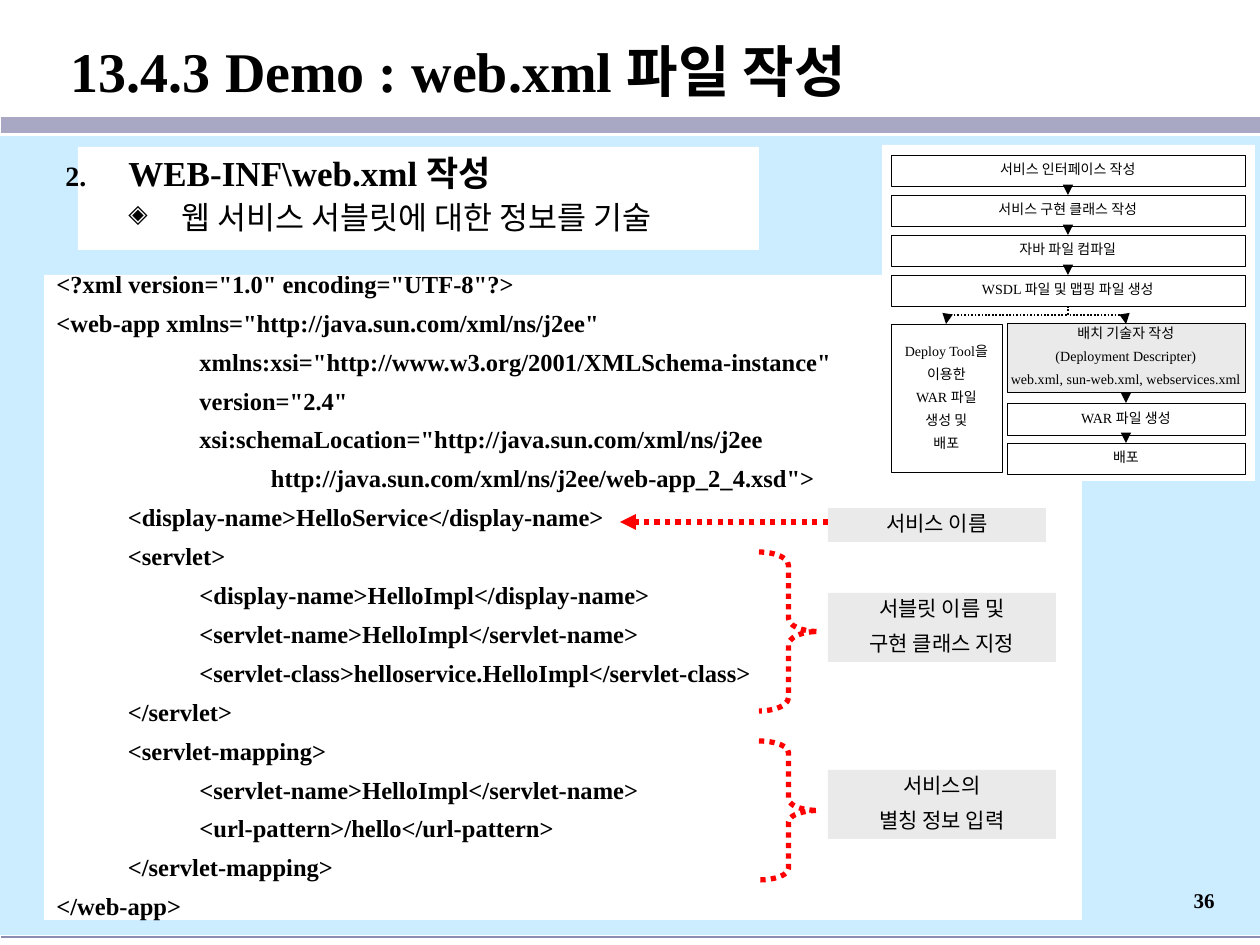
import pptx
import pptx.util
import pptx.dml.color
import pptx.enum.dml
import pptx.enum.shapes
import pptx.enum.text
import pptx.oxml
import pptx.oxml.ns

PX = 914400 / 126
FONT = "Times New Roman"
SHAPE = pptx.enum.shapes.MSO_SHAPE
LINK = pptx.enum.shapes.MSO_CONNECTOR
ALIGN = pptx.enum.text.PP_ALIGN
ANCHOR = pptx.enum.text.MSO_ANCHOR

# Each code line: indent level, text
CODE = [
    (0, '<?xml version="1.0" encoding="UTF-8"?>'),
    (0, '<web-app xmlns="http://java.sun.com/xml/ns/j2ee"'),
    (2, 'xmlns:xsi="http://www.w3.org/2001/XMLSchema-instance"'),
    (2, 'version="2.4"'),
    (2, 'xsi:schemaLocation="http://java.sun.com/xml/ns/j2ee'),
    (3, 'http://java.sun.com/xml/ns/j2ee/web-app_2_4.xsd">'),
    (1, "<display-name>HelloService</display-name>"),
    (1, "<servlet>"),
    (2, "<display-name>HelloImpl</display-name>"),
    (2, "<servlet-name>HelloImpl</servlet-name>"),
    (2, "<servlet-class>helloservice.HelloImpl</servlet-class>"),
    (1, "</servlet>"),
    (1, "<servlet-mapping>"),
    (2, "<servlet-name>HelloImpl</servlet-name>"),
    (2, "<url-pattern>/hello</url-pattern>"),
    (1, "</servlet-mapping>"),
    (0, "</web-app>"),
]
STEPS = ["서비스 인터페이스 작성", "서비스 구현 클래스 작성", "자바 파일 컴파일",
         "WSDL 파일 및 맵핑 파일 생성"]


def px(n):
    return pptx.util.Emu(round(n * PX))


def hue(code):
    return pptx.dml.color.RGBColor.from_string(code)


def node(tag, **attrs):
    item = pptx.oxml.parse_xml(f"<a:{tag} {pptx.oxml.ns.nsdecls('a')}/>")
    for key, val in attrs.items():
        item.set(key, str(val))
    return item


def stroke(line, color, width, dots=False):
    line.color.rgb = hue(color)
    line.width = pptx.util.Pt(width)
    if dots:
        line.dash_style = pptx.enum.dml.MSO_LINE.ROUND_DOT


def write(para, text, size, bold=False):
    run = para.add_run()
    run.text = text
    run.font.size = pptx.util.Pt(size)
    run.font.name = FONT
    run.font.bold = bold
    run.font.color.rgb = hue("000000")


def paras(frame, count, space, gap, align=ALIGN.LEFT):
    """Yield spaced paragraphs; only those after the first get a gap."""
    for i in range(count):
        para = frame.add_paragraph() if i else frame.paragraphs[0]
        para.alignment = align
        para.line_spacing = space
        para.space_before = pptx.util.Pt(gap if i else 0)
        yield para


def box(slide, rect, fill, edge=None):
    shape = slide.shapes.add_shape(SHAPE.RECTANGLE, *map(px, rect))
    shape.shadow.inherit = False
    shape.fill.solid()
    shape.fill.fore_color.rgb = hue(fill)
    if edge:
        stroke(shape.line, edge, 0.25)
    else:
        shape.line.fill.background()
    return shape


def label(slide, rect, lines, size, gap, fill, edge=None, wrap=True):
    shape = box(slide, rect, fill, edge)
    frame = shape.text_frame
    frame.word_wrap = wrap
    frame.vertical_anchor = ANCHOR.MIDDLE
    rows = paras(frame, len(lines), 0.85, gap, ALIGN.CENTER)
    for para, text in zip(rows, lines):
        write(para, text, size)


def rule(slide, ends, color, width, dots=False, head=False, kind=LINK.STRAIGHT):
    line = slide.shapes.add_connector(kind, *map(px, ends))
    stroke(line.line, color, width, dots)
    if head:
        line.line._get_or_add_ln().append(node("tailEnd", type="triangle"))
    line._element.spPr.append(node("effectLst"))
    return line


def fork(slide, x, y, to, end):
    """Elbow arrow that leaves downwards: a turned sideways elbow."""
    mid, half = (x + to) / 2, (end - y) / 2
    reach = abs(to - x) / 2
    row = (y + end) / 2
    side = half if to < x else -half
    line = rule(slide, (mid - side, row - reach, mid + side, row + reach),
                "000000", 1, True, True, LINK.ELBOW)
    turn = 90 if to < x else 270
    line._element.spPr.find(pptx.oxml.ns.qn("a:xfrm")).set("rot", str(turn * 60000))


def brace(slide, top, high):
    wide = 59
    shape = slide.shapes.add_shape(SHAPE.RIGHT_BRACE, *map(px, (759, top, wide, high)))
    shape.shadow.inherit = False
    shape.fill.background()
    stroke(shape.line, "FF0000", 3, True)
    shape.adjustments[0] = high / 12 / wide


def bullet(para, mark, left, hang):
    props = para._p.get_or_add_pPr()
    props.set("marL", str(px(left)))
    props.set("indent", str(-px(hang)))
    tint = node("buClr")
    tint.append(node("srgbClr", val="000000"))
    props.extend([tint, node("buSzPct", val=80000), mark])


def head(slide):
    title = slide.shapes.title
    title.left, title.top, title.width, title.height = map(px, (1, 14, 1259, 113))
    frame = title.text_frame
    frame.auto_size = pptx.enum.text.MSO_AUTO_SIZE.NONE
    frame.vertical_anchor = ANCHOR.MIDDLE
    frame.margin_left = px(70)
    para = frame.paragraphs[0]
    para.alignment = ALIGN.LEFT
    write(para, "13.4.3 Demo : web.xml 파일 작성", 32, True)


def topic(slide):
    frame = slide.shapes.add_textbox(*map(px, (53, 150, 720, 100))).text_frame
    frame.word_wrap = True
    first, second = paras(frame, 2, 0.9, 4.5)
    bullet(first, node("buAutoNum", type="arabicPeriod", startAt=2), 63, 63)
    bullet(second, node("buChar", char="◈"), 116, 53)
    write(first, "WEB-INF\\web.xml 작성", 20, True)
    write(second, "웹 서비스 서블릿에 대한 정보를 기술", 18)


def code(slide):
    frame = box(slide, (44, 275, 1038, 645), "FFFFFF").text_frame
    frame.word_wrap = True
    frame.vertical_anchor = ANCHOR.MIDDLE
    for para, (level, text) in zip(paras(frame, len(CODE), 0.8, 8.8), CODE):
        para._p.get_or_add_pPr().set("marL", str(px(level * 71.5)))
        write(para, text, 14, True)


def flow(slide):
    def step(rect, lines, fill="FFFFFF"):
        label(slide, rect, lines, 8, 5, fill, "000000", False)

    def down(x, top, end):
        rule(slide, (x, top, x, end), "000000", 1, True, True)

    for i, text in enumerate(STEPS):
        top = 155 + 40 * i
        step((891, top, 354, 31), [text])
        if i:
            down(1068, top - 9, top)
    # Two ways to deploy
    step((1007, 323, 238, 69), ["배치 기술자 작성", "(Deployment Descripter)",
                                "web.xml, sun-web.xml, webservices.xml"], "EAEAEA")
    step((1007, 403, 238, 32), ["WAR 파일 생성"])
    step((1007, 443, 238, 31), ["배포"])
    step((891, 324, 111, 148), ["Deploy Tool을", "이용한", "WAR 파일", "생성 및", "배포"])
    fork(slide, 1068, 306, 946, 324)
    fork(slide, 1068, 306, 1126, 324)
    down(1126, 392, 403)
    down(1126, 435, 443)


def main():
    deck = pptx.Presentation()
    deck.slide_width, deck.slide_height = px(1260), px(945)
    slide = deck.slides.add_slide(deck.slide_layouts[5])
    # Backdrop and title
    rule(slide, (1, 125, 1260, 125), "A8A8C4", 9.25)
    box(slide, (0, 136, 1260, 799), "CCECFF")
    rule(slide, (1, 937, 1260, 937), "8C8CB2", 1)
    head(slide)
    # Panels
    box(slide, (882, 145, 373, 336), "FFFFFF")
    box(slide, (78, 147, 681, 103), "FFFFFF")
    code(slide)
    topic(slide)
    # Notes on the code
    brace(slide, 552, 159)
    brace(slide, 741, 139)
    for rect, lines in [((828, 593, 228, 69), ["서블릿 이름 및", "구현 클래스 지정"]),
                        ((828, 770, 228, 69), ["서비스의", "별칭 정보 입력"]),
                        ((828, 508, 218, 34), ["서비스 이름"])]:
        label(slide, rect, lines, 12, 7.5, "EAEAEA")
    rule(slide, (828, 522, 620, 522), "FF0000", 3, True, True)
    flow(slide)
    # Page number
    page = slide.shapes.add_textbox(*map(px, (965, 881, 262, 63))).text_frame
    page.word_wrap = True
    page.paragraphs[0].alignment = ALIGN.RIGHT
    write(page.paragraphs[0], "36", 12, True)
    deck.save("out.pptx")


if __name__ == "__main__":
    main()
